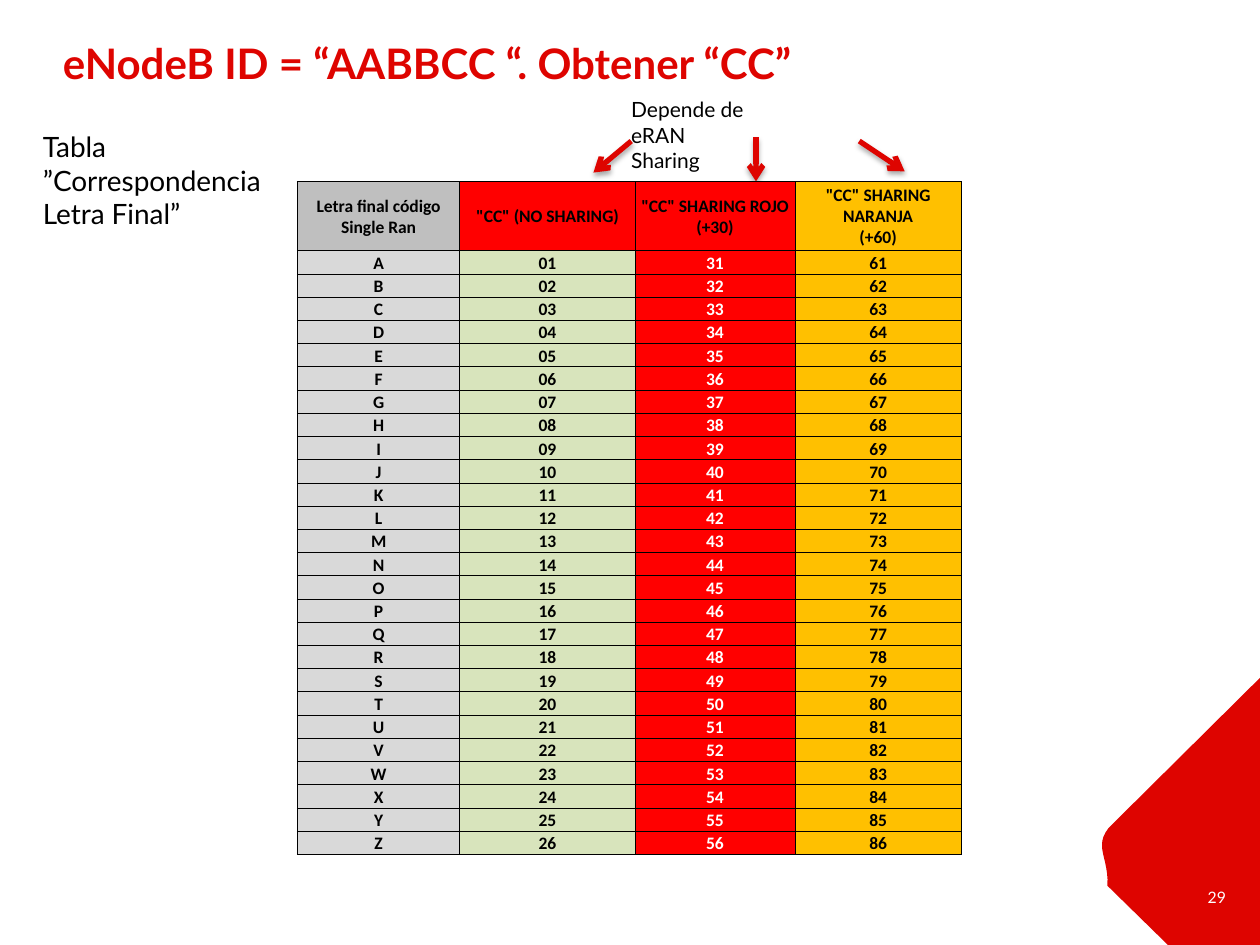
import lxml.etree
import pptx
import pptx.dml.color
import pptx.enum.shapes
import pptx.enum.text
import pptx.oxml
import pptx.oxml.ns
import pptx.util

Inches = pptx.util.Inches
Pt = pptx.util.Pt
ALIGN = pptx.enum.text.PP_ALIGN
ANCHOR = pptx.enum.text.MSO_ANCHOR
NS = pptx.oxml.ns.nsdecls("a")
RED = "DE0400"
HEADS = [
    ("Letra final código Single Ran", "BFBFBF"),
    ('"CC" (NO SHARING)', "FF0000"),
    ('"CC" SHARING ROJO\v(+30)', "FF0000"),
    ('"CC" SHARING NARANJA\v(+60)', "FFC000"),
]
BODY = [("D9D9D9", "000000"), ("D8E4BC", "000000"),
        ("FF0000", "FFFFFF"), ("FFC000", "000000")]


def color(code):
    """Turn a hex string into a colour."""
    return pptx.dml.color.RGBColor.from_string(code)


def style(par, size, code, face="Lato", bold=False, align=ALIGN.LEFT):
    """Set the font and alignment of a paragraph."""
    par.alignment = align
    par.font.size = Pt(size)
    par.font.name = face
    par.font.bold = bold
    par.font.color.rgb = color(code)


def label(slide, box, text, size, code, wrap=False, bold=False):
    """Place a text box without margins and return it."""
    shape = slide.shapes.add_textbox(*map(Inches, box))
    frame = shape.text_frame
    frame.word_wrap = wrap
    frame.margin_left = frame.margin_right = 0
    frame.margin_top = frame.margin_bottom = 0
    frame.text = text
    style(frame.paragraphs[0], size, code, bold=bold)
    return shape


def bezier(ends, steps=12):
    """List points along a cubic curve after its start."""
    marks = [n / steps for n in range(1, steps + 1)]
    return [tuple((1 - t) ** 3 * a + 3 * t * (1 - t) ** 2 * b
                  + 3 * t * t * (1 - t) * c + t ** 3 * d
                  for a, b, c, d in zip(*ends)) for t in marks]


def corner(slide, box):
    """Draw the red corner with the page number."""
    left, top, wide, high = box
    curve = bezier([(0.04, 1.65), (0.05, 1.42), (-0.07, 1.34), (0.05, 1.19)])
    spots = [(wide, high), (0.52, high), (0.04, 1.65)] + curve
    build = slide.shapes.build_freeform(
        Inches(left + wide), Inches(top), scale=1.0)
    build.add_line_segments(
        [(Inches(left + x), Inches(top + y)) for x, y in spots], close=True)
    shape = build.convert_to_shape()
    shape.shadow.inherit = False
    shape.fill.solid()
    shape.fill.fore_color.rgb = color(RED)
    shape.line.fill.background()
    page = label(slide, (left - 0.08, top + 1.54, 1.06, 0.4),
                 "29", 9, "FFFFFF", wrap=True)
    frame = page.text_frame
    frame.margin_left = Inches(0.1)
    frame.margin_top = frame.margin_bottom = Inches(0.05)
    frame.vertical_anchor = ANCHOR.MIDDLE
    frame.paragraphs[0].alignment = ALIGN.RIGHT


def arrow(slide, start, end):
    """Draw a red arrow with a soft shadow."""
    line = slide.shapes.add_connector(
        pptx.enum.shapes.MSO_CONNECTOR.STRAIGHT, *map(Inches, start + end))
    line.line.color.rgb = color(RED)
    line.line.width = Pt(3)
    lxml.etree.SubElement(line.line._get_or_add_ln(),
                          pptx.oxml.ns.qn("a:tailEnd"), type="arrow")
    line._element.spPr.append(pptx.oxml.parse_xml(
        f'<a:effectLst {NS}><a:outerShdw blurRad="{Pt(3.1)}" '
        f'dist="{Pt(1.8)}" dir="5400000" rotWithShape="0">'
        '<a:srgbClr val="000000"><a:alpha val="35000"/></a:srgbClr>'
        '</a:outerShdw></a:effectLst>'))


def sharing(slide, box):
    """Place the sharing note and its three arrows."""
    left, top, wide, high = box
    label(slide, box, "Depende de eRAN Sharing", 12, "000000")
    for x, y, dx, dy in [(0.99, 0.32, 0, 0.35), (1.81, 0.35, 0.36, 0.24),
                         (0, 0.35, -0.3, 0.25)]:
        arrow(slide, (left + x, top + y), (left + x + dx, top + y + dy))


def paint(cell, text, fill, ink, anchor):
    """Fill one table cell with text, colour and borders."""
    cell.text = text
    cell.vertical_anchor = anchor
    cell.margin_left = cell.margin_right = cell.margin_top = Inches(0.01)
    cell.margin_bottom = 0
    for par in cell.text_frame.paragraphs:
        style(par, 10, ink, "Calibri", True, ALIGN.CENTER)
    props = cell._tc.get_or_add_tcPr()
    for side in "LRTB":
        props.append(pptx.oxml.parse_xml(
            f'<a:ln{side} {NS} w="{Pt(0.5)}"><a:solidFill>'
            f'<a:srgbClr val="000000"/></a:solidFill></a:ln{side}>'))
    cell.fill.solid()
    cell.fill.fore_color.rgb = color(fill)


def codes(slide, box):
    """Build the table of letters and codes."""
    letters = "ABCDEFGHIJKLMNOPQRSTUVWXYZ"
    table = slide.shapes.add_table(
        len(letters) + 1, len(HEADS), *map(Inches, box)).table
    table.first_row = table.horz_banding = False
    for col, wide in zip(table.columns, [1.29, 1.39, 1.27, 1.32]):
        col.width = Inches(wide)
    top = 0.55
    for row in table.rows:
        row.height = Inches((box[3] - top) / len(letters))
    table.rows[0].height = Inches(top)
    for col, (text, fill) in enumerate(HEADS):
        paint(table.cell(0, col), text, fill, "000000", ANCHOR.MIDDLE)
    for row, letter in enumerate(letters, 1):
        texts = [letter] + [f"{row + step:02d}" for step in (0, 30, 60)]
        for col, (text, (fill, ink)) in enumerate(zip(texts, BODY)):
            paint(table.cell(row, col), text, fill, ink, ANCHOR.BOTTOM)


def main():
    """Build and save the slide."""
    deck = pptx.Presentation()
    deck.slide_width, deck.slide_height = Inches(10), Inches(7.5)
    slide = deck.slides.add_slide(deck.slide_layouts[6])
    corner(slide, (8.75, 5.38, 1.25, 2.12))
    label(slide, (0.5, 0.3, 8.04, 1.14),
          "eNodeB ID = “AABBCC “. Obtener “CC”", 24, RED, True, True)
    label(slide, (0.34, 1.03, 1.88, 1),
          "Tabla ”Correspondencia Letra Final”", 16, "000000")
    sharing(slide, (5.01, 0.77, 1, 1))
    codes(slide, (2.36, 1.44, 5.27, 5.35))
    deck.save("out.pptx")


if __name__ == "__main__":
    main()
